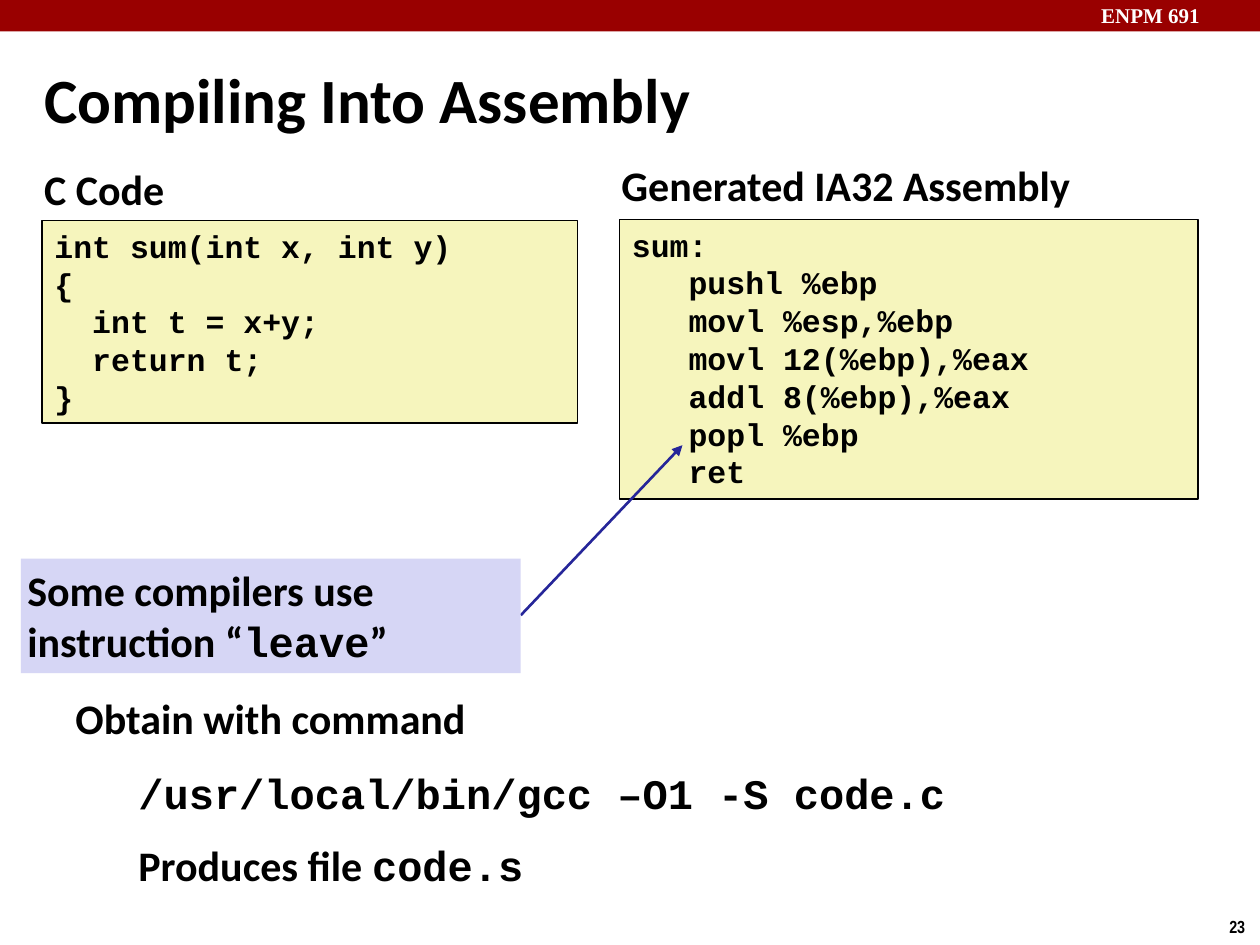
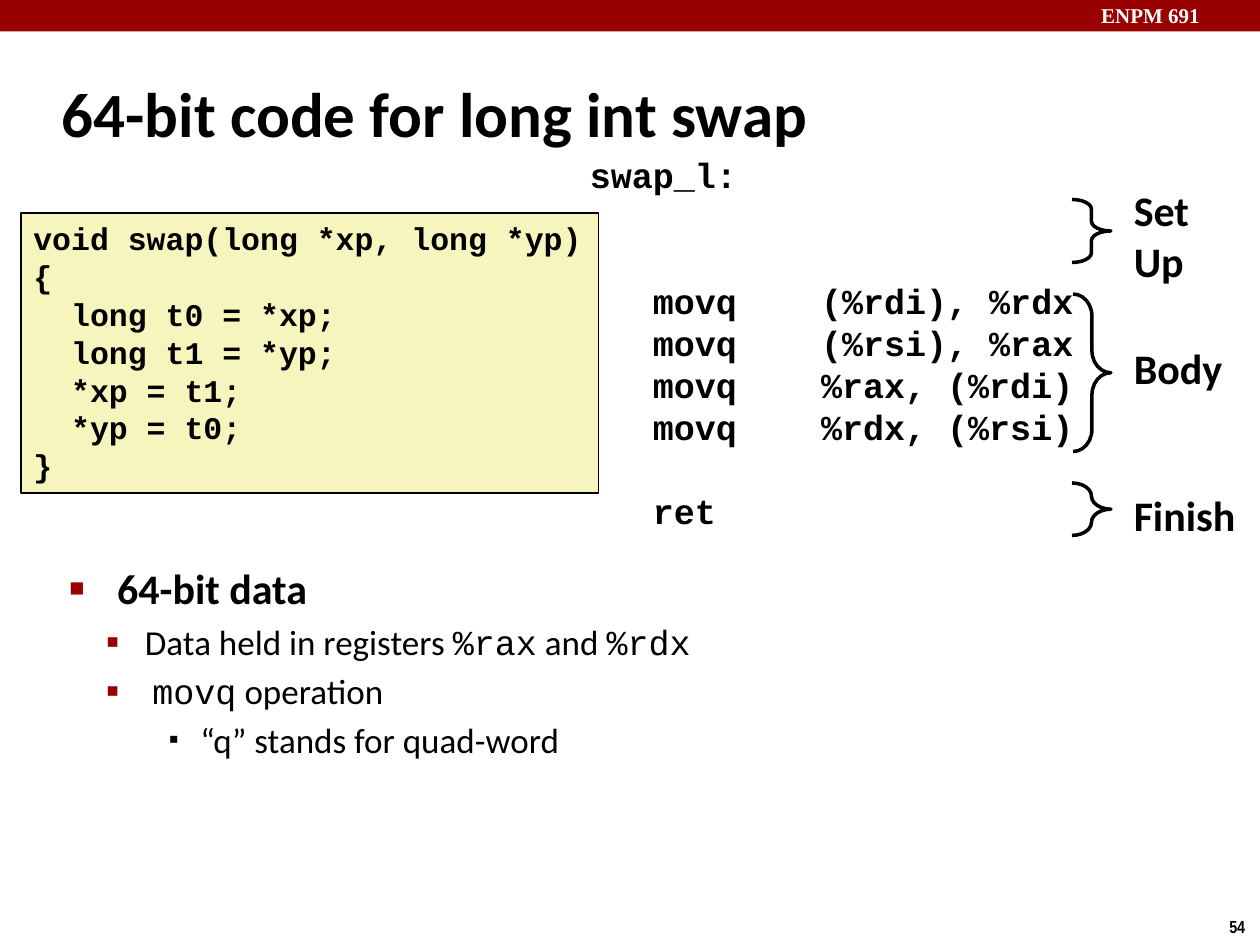
from dataclasses import dataclass
from typing import Optional

from lxml import etree
from pptx import Presentation
from pptx import util as u
from pptx.dml.color import RGBColor
from pptx.enum import shapes, text
from pptx.oxml import ns

COLUMNS = 120
WIDTH = u.Inches(10)
HEIGHT = u.Inches(7.5)
CELL = WIDTH / COLUMNS


@dataclass(frozen=True)
class Theme:
    band: str = "990000"
    ink: str = "000000"
    paper: str = "FFFFFF"
    code_fill: str = "F6F5BD"
    note_fill: str = "D6D6F5"
    arrow: str = "262699"
    sans: str = "Calibri"
    mono: str = "Courier New"
    serif: str = "Times New Roman"
    narrow: str = "Arial Narrow"
    title: int = 36
    heading: int = 24
    detail: int = 20
    code: int = 18
    course: int = 12
    number: int = 10


THEME = Theme()


@dataclass(frozen=True)
class Box:
    column: float
    row: float
    columns: float
    rows: float

    def lengths(self) -> list[int]:
        return [cells(n) for n in (self.column, self.row, self.columns, self.rows)]


@dataclass(frozen=True)
class Style:
    size: int
    font: str = THEME.sans
    color: str = THEME.ink
    bold: bool = True
    leading: Optional[float] = None


@dataclass(frozen=True)
class Bullet:
    mark: str
    percent: int
    color: str = THEME.band


@dataclass(frozen=True)
class Line:
    words: str
    style: Style
    before: float = 0
    level: int = 0
    margin: float = 0
    indent: float = 0
    bullet: Optional[Bullet] = None
    tabs: tuple[float, ...] = ()


@dataclass(frozen=True)
class Stage:
    brace: Box
    bend: float
    label: Box
    words: tuple[str, ...]


TITLE = Style(THEME.title)
HEADING = Style(THEME.heading)
DETAIL = Style(THEME.detail, bold=False)
CODE = Style(THEME.code, THEME.mono, leading=1.2)
ASSEMBLY = Style(THEME.detail, THEME.mono, leading=1.2)
COURSE = Style(THEME.course, THEME.serif, THEME.paper)
NUMBER = Style(THEME.number, THEME.narrow)

SQUARE = Bullet("■", 60)
SMALL_SQUARE = Bullet("▪", 110)
BLACK_SQUARE = Bullet("▪", 80, THEME.ink)

C_SUM = """int sum(int x, int y)
{
  int t = x+y;
  return t;
}"""

ASSEMBLY_SUM = """sum:
   pushl %ebp
   movl %esp,%ebp
   movl 12(%ebp),%eax
   addl 8(%ebp),%eax
   popl %ebp
   ret"""

C_SWAP = """void swap(long *xp, long *yp)
{
  long t0 = *xp;
  long t1 = *yp;
  *xp = t1;
  *yp = t0;
}"""

ASSEMBLY_SWAP = (
    ("swap_l:", 0),
    ("\tmovq    (%rdi), %rdx", 2),
    ("\tmovq    (%rsi), %rax", 0),
    ("\tmovq    %rax, (%rdi)", 0),
    ("\tmovq    %rdx, (%rsi)", 0),
    ("\tret", 1),
)

STAGES = (
    Stage(Box(102.2, 28, 3.6, 15), 0.585, Box(106.8, 32, 10.9, 6), ("Body",)),
    Stage(Box(102.1, 19, 3.7, 6), 0.25, Box(106.8, 17, 7.8, 10.9), ("Set", "Up")),
    Stage(Box(102.1, 46, 3.7, 5), 0.36, Box(106.8, 46, 12.2, 6), ("Finish",)),
)


def cells(count: float) -> int:
    return round(count * CELL)


def rgb(color: str) -> RGBColor:
    return RGBColor.from_string(color)


def add_element(parent, tag: str, **attributes):
    return etree.SubElement(parent, ns.qn(tag), attributes)


def mark_paragraph(para, line: Line) -> None:
    properties = para._p.get_or_add_pPr()
    properties.set("marL", str(u.Inches(line.margin)))
    properties.set("indent", str(u.Inches(line.indent)))
    if line.bullet:
        color = add_element(properties, "a:buClr")
        add_element(color, "a:srgbClr", val=line.bullet.color)
        add_element(properties, "a:buSzPct", val=str(line.bullet.percent * 1000))
        add_element(properties, "a:buChar", char=line.bullet.mark)
    else:
        add_element(properties, "a:buNone")
    if line.tabs:
        stops = add_element(properties, "a:tabLst")
        for stop in line.tabs:
            add_element(stops, "a:tab", pos=str(u.Inches(stop)), algn="l")


def write_line(para, line: Line) -> None:
    mark_paragraph(para, line)
    para.level = line.level
    para.alignment = text.PP_ALIGN.LEFT
    para.space_before = u.Pt(line.before)
    if line.style.leading:
        para.line_spacing = u.Pt(line.style.size * line.style.leading)
    for index, piece in enumerate(line.words.split("`")):
        if piece:
            span = para.add_run()
            span.text = piece
            font = span.font
            font.name = THEME.mono if index % 2 else line.style.font
            font.size = u.Pt(line.style.size)
            font.bold = line.style.bold
            font.color.rgb = rgb(line.style.color)


def write(shape, lines: list[Line], wrap: bool = True, side: float = 0.1,
          anchor=text.MSO_ANCHOR.TOP) -> None:
    frame = shape.text_frame
    frame.word_wrap = wrap
    frame.auto_size = text.MSO_AUTO_SIZE.NONE
    frame.vertical_anchor = anchor
    frame.margin_left = frame.margin_right = u.Inches(side)
    frame.margin_top = frame.margin_bottom = u.Inches(0.05)
    for index, line in enumerate(lines):
        write_line(frame.add_paragraph() if index else frame.paragraphs[0], line)


def add_text(page, box: Box, lines: list[Line], wrap: bool = True) -> None:
    write(page.shapes.add_textbox(*box.lengths()), lines, wrap)


def add_panel(page, box: Box, fill: Optional[str], outline: float = 0,
              kind=shapes.MSO_SHAPE.RECTANGLE):
    panel = page.shapes.add_shape(kind, *box.lengths())
    panel.shadow.inherit = False
    if fill:
        panel.fill.solid()
        panel.fill.fore_color.rgb = rgb(fill)
    else:
        panel.fill.background()
    if outline:
        panel.line.color.rgb = rgb(THEME.ink)
        panel.line.width = u.Pt(outline)
    else:
        panel.line.fill.background()
    return panel


def add_code(page, box: Box, code: str) -> None:
    panel = add_panel(page, box, THEME.code_fill, 1)
    write(panel, [Line(row, CODE, tabs=(0.5, 1.62)) for row in code.splitlines()])


def add_stage(page, stage: Stage) -> None:
    brace = add_panel(page, stage.brace, None, 2, shapes.MSO_SHAPE.RIGHT_BRACE)
    brace.adjustments[0] = stage.bend
    brace.adjustments[1] = 0.5
    add_text(page, stage.label, [Line(word, HEADING) for word in stage.words], wrap=False)


def add_arrow(page, start: tuple[float, float], end: tuple[float, float]) -> None:
    arrow = page.shapes.add_connector(
        shapes.MSO_CONNECTOR.STRAIGHT, *(cells(n) for n in start + end))
    arrow.line.color.rgb = rgb(THEME.arrow)
    arrow.line.width = u.Pt(1.5)
    add_element(arrow.line._get_or_add_ln(), "a:tailEnd", type="triangle")
    add_element(arrow._element.spPr, "a:effectLst")


def fill_placeholder(shape, box: Box, lines: list[Line], anchor=text.MSO_ANCHOR.TOP) -> None:
    shape.left, shape.top, shape.width, shape.height = box.lengths()
    write(shape, lines, anchor=anchor)


def add_page(deck, number: str, title: str, title_box: Box, body_box: Box, body: list[Line]):
    page = deck.slides.add_slide(deck.slide_layouts[1])
    add_panel(page, Box(0, 0, COLUMNS, 3), THEME.band)
    add_text(page, Box(103.7, -0.36, 16.3, 3.6), [Line("ENPM 691", COURSE)])
    add_text(page, Box(115.9, 86.64, 4.1, 3.24), [Line(number, NUMBER)], wrap=False)
    fill_placeholder(page.shapes.title, title_box,
                     [Line(title, TITLE, margin=0.13, indent=-0.13)], text.MSO_ANCHOR.MIDDLE)
    fill_placeholder(page.placeholders[1], body_box, body)
    return page


def add_compiling_page(deck) -> None:
    page = add_page(deck, "23", "Compiling Into Assembly", Box(3, 5.76, 89.9, 7.3),
                    Box(3, 15, 21.2, 4.8),
                    [Line("C Code", HEADING, margin=0.38, indent=-0.38)])
    add_code(page, Box(4, 21, 51, 19.3), C_SUM)
    add_text(page, Box(58, 14.64, 54, 5.4),
             [Line("Generated IA32 Assembly", HEADING, margin=0.24, indent=-0.24)])
    add_code(page, Box(59, 20.9, 55.1, 26.64), ASSEMBLY_SUM)
    add_text(page, Box(6, 65.4, 98, 20.5), [
        Line("Obtain with command", HEADING),
        Line("`/usr/local/bin/gcc –O1 -S code.c`", HEADING, 14, 1, 0.5),
        Line("Produces file `code.s`", HEADING, 12, 1, 0.5),
    ])
    add_arrow(page, (49.6, 58.6), (65, 42.4))
    note = add_panel(page, Box(2, 53.2, 47.6, 10.9), THEME.note_fill)
    write(note, [Line("Some compilers use instruction “`leave`”", HEADING)], side=0.05)


def add_swap_page(deck) -> None:
    page = add_page(deck, "54", "64-bit code for long int swap", Box(4.7, 5.76, 99.6, 9.96),
                    Box(5.4, 53, 103.7, 23.5), [
        Line("64-bit data", HEADING, 0, 0, 0.38, -0.38, SQUARE),
        Line("Data held in registers `%rax` and `%rdx`", DETAIL, 4, 1, 0.6, -0.31, SMALL_SQUARE),
        Line("`movq` operation", DETAIL, 4, 1, 0.66, -0.37, SMALL_SQUARE),
        Line("“q” stands for quad-word", DETAIL, 4, 2, 1.04, -0.25, BLACK_SQUARE),
    ])
    add_code(page, Box(2, 20.3, 55, 26.64), C_SWAP)
    for stage in STAGES:
        add_stage(page, stage)
    row_height = ASSEMBLY.size * ASSEMBLY.leading
    add_text(page, Box(55, 14, 55, 37.6), [
        Line(words, ASSEMBLY, gap * row_height, tabs=(0.38, 1.44))
        for words, gap in ASSEMBLY_SWAP
    ])


def main() -> None:
    deck = Presentation()
    deck.slide_width = WIDTH
    deck.slide_height = HEIGHT
    add_compiling_page(deck)
    add_swap_page(deck)
    deck.save("out.pptx")


if __name__ == "__main__":
    main()
